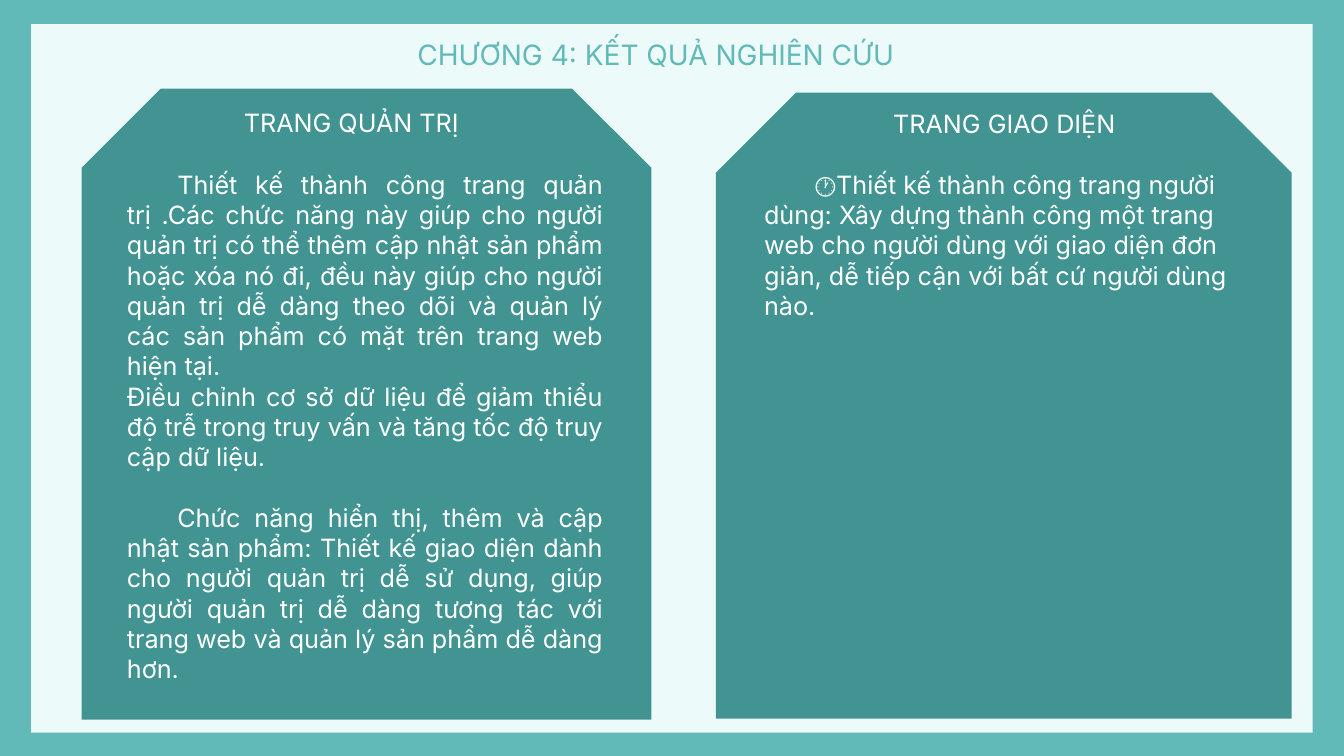
from dataclasses import dataclass

from pptx import Presentation
from pptx.dml.color import RGBColor
from pptx.enum.shapes import MSO_SHAPE
from pptx.enum.text import MSO_ANCHOR, MSO_AUTO_SIZE, PP_ALIGN
from pptx.util import Inches, Pt


@dataclass(frozen=True)
class Theme:
    font: str = "Inter"
    frame: RGBColor = RGBColor(0x62, 0xBA, 0xB8)
    paper: RGBColor = RGBColor(0xED, 0xFA, 0xFA)
    card: RGBColor = RGBColor(0x41, 0x94, 0x92)
    white: RGBColor = RGBColor(0xFF, 0xFF, 0xFF)
    title_size: Pt = Pt(20)
    body_size: Pt = Pt(18)
    gap: Pt = Pt(21.8)


theme = Theme()


def add_block(kind, box, color):
    sp = s.shapes.add_shape(kind, *map(Inches, box))
    sp.shadow.inherit = False
    sp.fill.solid()
    sp.fill.fore_color.rgb = color
    sp.line.fill.background()
    return sp


def write(sp, paragraphs, size, color, align=PP_ALIGN.LEFT):
    tf = sp.text_frame
    tf.word_wrap = True
    tf.auto_size = MSO_AUTO_SIZE.NONE
    tf.vertical_anchor = MSO_ANCHOR.TOP
    for i, (text, indent, before) in enumerate(paragraphs):
        p = tf.paragraphs[0] if i == 0 else tf.add_paragraph()
        p.text = text
        p.alignment = align
        p.line_spacing = 1.0
        p.space_before = before
        pPr = p._p.get_or_add_pPr()
        pPr.set("marL", "0")
        pPr.set("indent", str(Inches(indent)))
        p.font.name = theme.font
        p.font.size = size
        p.font.color.rgb = color


prs = Presentation()
prs.slide_width = Inches(13.33)
prs.slide_height = Inches(7.5)
s = prs.slides.add_slide(prs.slide_layouts[5])

add_block(MSO_SHAPE.RECTANGLE, (0, 0, 13.33, 7.5), theme.frame)
add_block(MSO_SHAPE.RECTANGLE, (0.31, 0.24, 12.71, 7.03), theme.paper)

title = s.shapes.title
title.left, title.top, title.width, title.height = map(Inches, (4.04, 0.32, 6.13, 0.44))
write(title, [("CHƯƠNG 4: KẾT QUẢ NGHIÊN CỨU", 0, Pt(0))], theme.title_size, theme.frame)
s.shapes._spTree.append(title._element)

cards = [
    ((0.81, 0.88, 5.65, 6.26), "TRANG QUẢN TRỊ", (2.32, 1.02, 2.35, 0.4),
     (1.16, 1.63, 4.92, 5.29), PP_ALIGN.JUSTIFY, [
        ("Thiết kế thành công trang quản trị .Các chức năng này giúp cho người quản trị "
         "có thể thêm cập nhật sản phẩm hoặc xóa nó đi, đều này giúp cho người quản trị "
         "dễ dàng theo dõi và quản lý các sản phẩm có mặt trên trang web hiện tại.",
         0.5, Pt(0)),
        ("Điều chỉnh cơ sở dữ liệu để giảm thiểu độ trễ trong truy vấn và tăng tốc độ "
         "truy cập dữ liệu.", 0, Pt(0)),
        ("Chức năng hiển thị, thêm và cập nhật sản phẩm: Thiết kế giao diện dành cho "
         "người quản trị dễ sử dụng, giúp người quản trị dễ dàng tương tác với trang web "
         "và quản lý sản phẩm dễ dàng hơn.", 0.5, theme.gap),
    ]),
    ((7.1, 0.92, 5.71, 6.21), "TRANG GIAO DIỆN", (8.76, 1.03, 2.58, 0.4),
     (7.48, 1.63, 4.98, 5.29), PP_ALIGN.LEFT, [
        ("🕐Thiết kế thành công trang người dùng: Xây dựng thành công một trang web cho "
         "người dùng với giao diện đơn giản, dễ tiếp cận với bất cứ người dùng nào.",
         0.5, Pt(0)),
    ]),
]

for card_box, heading, heading_box, body_box, align, paragraphs in cards:
    card = add_block(MSO_SHAPE.SNIP_2_SAME_RECTANGLE, card_box, theme.card)
    card.adjustments[0] = 0.139
    card.adjustments[1] = 0
    sp = s.shapes.add_textbox(*map(Inches, heading_box))
    write(sp, [(heading, 0, Pt(0))], theme.body_size, theme.white)
    sp = s.shapes.add_textbox(*map(Inches, body_box))
    write(sp, paragraphs, theme.body_size, theme.white, align)

prs.save("out.pptx")
